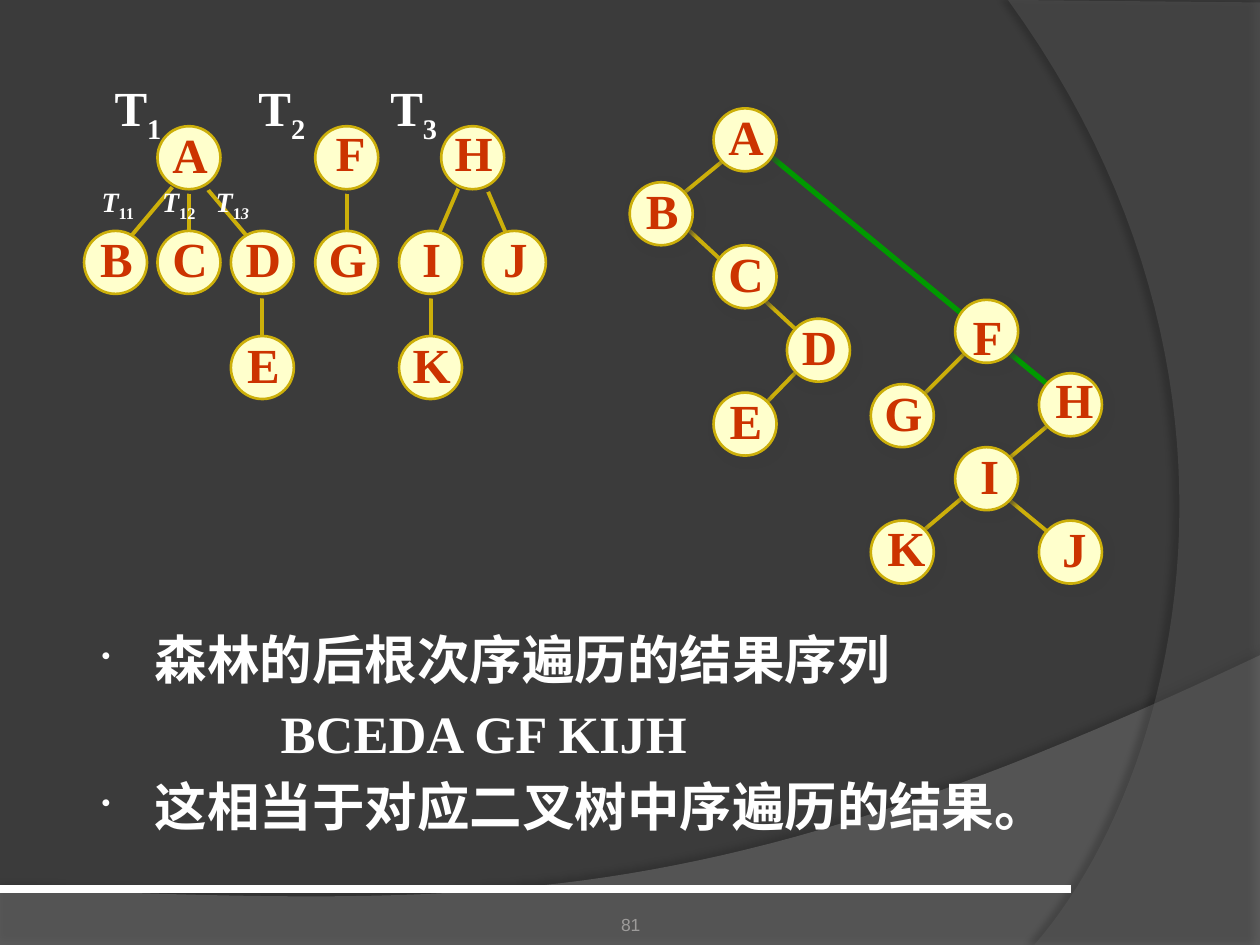
from dataclasses import dataclass

from lxml import etree
from pptx import Presentation
from pptx.dml.color import RGBColor
from pptx.enum.shapes import MSO_CONNECTOR, MSO_SHAPE
from pptx.enum.text import MSO_ANCHOR, PP_ALIGN
from pptx.oxml.ns import qn
from pptx.util import Cm, Pt

STRAIGHT = MSO_CONNECTOR.STRAIGHT
OVAL = MSO_SHAPE.OVAL
MIDDLE, BOTTOM = MSO_ANCHOR.MIDDLE, MSO_ANCHOR.BOTTOM
LEFT, CENTER = PP_ALIGN.LEFT, PP_ALIGN.CENTER

SERIF = "Times New Roman"
BACKGROUND, WHITE, GOLD, GREEN = "3B3B3B", "FFFFFF", "CCAF0A", "009900"
CREAM, RED = "FFFFCC", "CC3300"
DIAMETER, LETTER_HEIGHT = 1.27, 1.45
LETTER_WIDTHS = dict(A=1.22, B=1.17, C=1.22, D=1.22, E=1.17, F=1.12,
                     G=1.27, H=1.27, I=0.89, J=1.02, K=1.27)


@dataclass
class Shadow:
    color: str
    opacity: int
    blur: float
    distance: float
    angle: int


@dataclass
class Node:
    letter: str
    x: float
    y: float
    shift_x: float = 0.02
    shift_y: float = -0.08


@dataclass
class Edge:
    x1: float
    y1: float
    x2: float
    y2: float
    color: str = GOLD
    width: float = 2.25


@dataclass
class Run:
    text: str
    size: float
    color: str = WHITE
    font: str = SERIF
    bold: bool = True
    italic: bool = False
    subscript: bool = False


@dataclass
class TreeLabel:
    x: float
    y: float
    width: float
    height: float
    runs: list


ROOT_Y, CHILD_Y, LEAF_Y = 3.18, 5.29, 7.41
FOREST_NODES = [
    Node("B", 2.33, CHILD_Y), Node("C", 3.81, CHILD_Y), Node("D", 5.29, CHILD_Y),
    Node("G", 6.99, CHILD_Y), Node("I", 8.68, CHILD_Y), Node("J", 10.37, CHILD_Y),
    Node("E", 5.29, LEAF_Y), Node("K", 8.68, LEAF_Y),
    Node("A", 3.81, ROOT_Y), Node("F", 6.99, ROOT_Y, 0.08, -0.11),
    Node("H", 9.53, ROOT_Y, 0.02, -0.11),
]
FOREST_EDGES = [
    Edge(9.73, 3.61, 10.36, 5.08), Edge(9.32, 3.61, 8.69, 5.08),
    Edge(4.01, 3.61, 5.08, 4.88), Edge(3.61, 3.61, 2.54, 4.88),
    Edge(8.68, 5.72, 8.68, 6.99), Edge(5.29, 5.72, 5.29, 6.99),
    Edge(6.99, 3.61, 6.99, 4.88), Edge(3.81, 3.61, 3.81, 4.88),
]
BINARY_NODES = [
    Node("A", 15.02, 2.82), Node("B", 13.33, 4.31), Node("D", 16.5, 7.06),
    Node("C", 15.02, 5.58), Node("E", 15.02, 8.55),
    Node("H", 21.58, 8.16, 0.08, -0.11), Node("I", 19.89, 9.65, 0.06),
    Node("K", 18.19, 11.13, 0.08, -0.11), Node("J", 21.58, 11.13, 0.08),
    Node("F", 19.89, 6.68, 0.02, 0.09), Node("G", 18.19, 8.38),
]
BINARY_EDGES = [
    Edge(15.44, 3.07, 21.36, 7.95, GREEN, 3),
    Edge(16.28, 7.26, 15.24, 8.33), Edge(13.54, 4.32, 16.28, 6.86),
    Edge(14.81, 3.05, 13.54, 4.09), Edge(20.32, 10.06, 21.36, 10.92),
    Edge(21.36, 8.38, 18.62, 10.69), Edge(19.69, 6.88, 18.42, 8.15),
]


def rgb(color):
    """Turn a hex string into a colour."""
    return RGBColor.from_string(color)


def set_shadow(shape, shadow: Shadow) -> None:
    """Give a shape its own outer shadow."""
    shape.shadow.inherit = False
    effects = shape._element.spPr.find(qn("a:effectLst"))
    outer = etree.SubElement(effects, qn("a:outerShdw"), blurRad=str(Pt(shadow.blur)),
                             dist=str(Pt(shadow.distance)), dir=str(shadow.angle * 60000))
    color = etree.SubElement(outer, qn("a:srgbClr"), val=shadow.color)
    etree.SubElement(color, qn("a:alpha"), val=str(shadow.opacity * 1000))


def bezier(start, control1, control2, end, steps=48) -> list:
    """List points along a cubic curve, without its start."""
    points = []
    for step in range(1, steps + 1):
        t = step / steps
        weights = ((1 - t) ** 3, 3 * t * (1 - t) ** 2, 3 * t * t * (1 - t), t ** 3)
        points.append(tuple(sum(w * point[axis] for w, point in
                                zip(weights, (start, control1, control2, end)))
                            for axis in (0, 1)))
    return points


def draw_swoosh(slide, corners, curve, color: str, opacity: int, shadow: Shadow) -> None:
    """Draw a translucent background area closed by a curve."""
    points = [(Cm(x), Cm(y)) for x, y in corners + bezier(corners[-1], *curve)]
    builder = slide.shapes.build_freeform(*points[0], scale=1.0)
    builder.add_line_segments(points[1:], close=True)
    shape = builder.convert_to_shape()
    shape.fill.solid()
    shape.fill.fore_color.rgb = rgb(color)
    fill_color = shape._element.spPr.find(qn("a:solidFill")).find(qn("a:srgbClr"))
    etree.SubElement(fill_color, qn("a:alpha"), val=str(opacity * 1000))
    shape.line.fill.background()
    set_shadow(shape, shadow)


def draw_edge(slide, edge: Edge) -> None:
    """Draw a straight line without shadow."""
    connector = slide.shapes.add_connector(STRAIGHT, Cm(edge.x1), Cm(edge.y1),
                                           Cm(edge.x2), Cm(edge.y2))
    connector.line.color.rgb = rgb(edge.color)
    connector.line.width = Pt(edge.width)
    etree.SubElement(connector._element.spPr, qn("a:effectLst"))


def add_run(paragraph, item: Run) -> None:
    """Add one formatted run to a paragraph."""
    run = paragraph.add_run()
    run.text = item.text
    font = run.font
    font.name, font.size = item.font, Pt(item.size)
    font.bold, font.italic = item.bold, item.italic
    font.color.rgb = rgb(item.color)
    if item.subscript:
        font._element.set("baseline", "-25000")


def draw_text(slide, x, y, width, height, runs, align=LEFT, anchor=MIDDLE) -> None:
    """Draw a one-line text box."""
    frame = slide.shapes.add_textbox(Cm(x), Cm(y), Cm(width), Cm(height)).text_frame
    frame.word_wrap = False
    frame.vertical_anchor = anchor
    frame.paragraphs[0].alignment = align
    for item in runs:
        add_run(frame.paragraphs[0], item)


def draw_tree(slide, nodes, edges, shadow: Shadow) -> None:
    """Draw edges, then circles, then letters."""
    for edge in edges:
        draw_edge(slide, edge)
    for node in nodes:
        circle = slide.shapes.add_shape(OVAL, Cm(node.x - DIAMETER / 2), Cm(node.y - DIAMETER / 2),
                                        Cm(DIAMETER), Cm(DIAMETER))
        circle.fill.solid()
        circle.fill.fore_color.rgb = rgb(CREAM)
        circle.line.color.rgb = rgb(GOLD)
        circle.line.width = Pt(1.5)
        set_shadow(circle, shadow)
    for node in nodes:
        width = LETTER_WIDTHS[node.letter]
        draw_text(slide, node.x + node.shift_x - width / 2,
                  node.y + node.shift_y - LETTER_HEIGHT / 2, width, LETTER_HEIGHT,
                  [Run(node.letter, 28, RED)], CENTER)


def draw_conclusions(slide) -> None:
    """Write the bulleted statements and the traversal sequence."""
    frame = slide.shapes.add_textbox(Cm(1.7), Cm(12.52), Cm(22.86), Cm(5.21)).text_frame
    frame.word_wrap = True
    lines = [("森林的后根次序遍历的结果序列", True), ("BCEDA GF KIJH", False),
             ("这相当于对应二叉树中序遍历的结果。", True)]
    for index, (text, bulleted) in enumerate(lines):
        paragraph = frame.add_paragraph() if index else frame.paragraphs[0]
        properties = paragraph._element.get_or_add_pPr()
        properties.set("marL", str(Cm(1.17 if bulleted else 3.71)))
        properties.set("indent", str(Cm(-1.07 if bulleted else 0)))
        if bulleted:
            etree.SubElement(properties, qn("a:buSzPct"), val="50000")
            etree.SubElement(properties, qn("a:buChar"), char="•")
        if index:
            paragraph.space_before = Pt(6)
        add_run(paragraph, Run(text, 30))


def main() -> None:
    """Build the slide and save it."""
    presentation = Presentation()
    presentation.slide_width, presentation.slide_height = Cm(25.4), Cm(19.05)
    slide = presentation.slides.add_slide(presentation.slide_layouts[6])
    slide.background.fill.solid()
    slide.background.fill.fore_color.rgb = rgb(BACKGROUND)
    draw_swoosh(slide, [(0, 17.91), (0, 19.05), (25.4, 19.05), (25.4, 13.21)],
                [(14.2, 18.52), (9.93, 18.26), (0, 17.91)],
                "7F7F7F", 45, Shadow("000000", 35, 4, 3.5, 270))
    draw_swoosh(slide, [(25.4, 0.05), (25.4, 19.05), (20.85, 19.05)],
                [(23.75, 15.72), (25.86, 7.62), (20.32, 0)],
                "5E5E5E", 40, Shadow("000000", 45, 4, 4, 180))
    draw_edge(slide, Edge(0, 17.93, 21.59, 17.93, WHITE, 4.5))
    draw_text(slide, 8.69, 17.96, 8.05, 1.02, [Run("81", 10, "9D9B9A", "Arial", False)],
              CENTER, BOTTOM)
    draw_tree(slide, BINARY_NODES, BINARY_EDGES, Shadow(BACKGROUND, 75, 5, 3, 45))
    draw_conclusions(slide)
    draw_tree(slide, FOREST_NODES, FOREST_EDGES, Shadow(BACKGROUND, 100, 0, 2.8, 45))
    labels = [TreeLabel(x, 1.52, 2.2, 1.45, [Run("T", 28), Run(number, 28, subscript=True)])
              for x, number in ((2.06, "1"), (4.96, "2"), (7.62, "3"))]
    labels += [TreeLabel(x, 3.64, 1.5, 0.94,
                         [Run("T", 16, italic=True), Run("1", 16, subscript=True),
                          Run(digit, 16, italic=digit == "3", subscript=True)])
               for x, digit in ((1.8, "1"), (3.02, "2"), (4.1, "3"))]
    for label in labels:
        draw_text(slide, label.x, label.y, label.width, label.height, label.runs)
    presentation.save("out.pptx")


if __name__ == "__main__":
    main()
